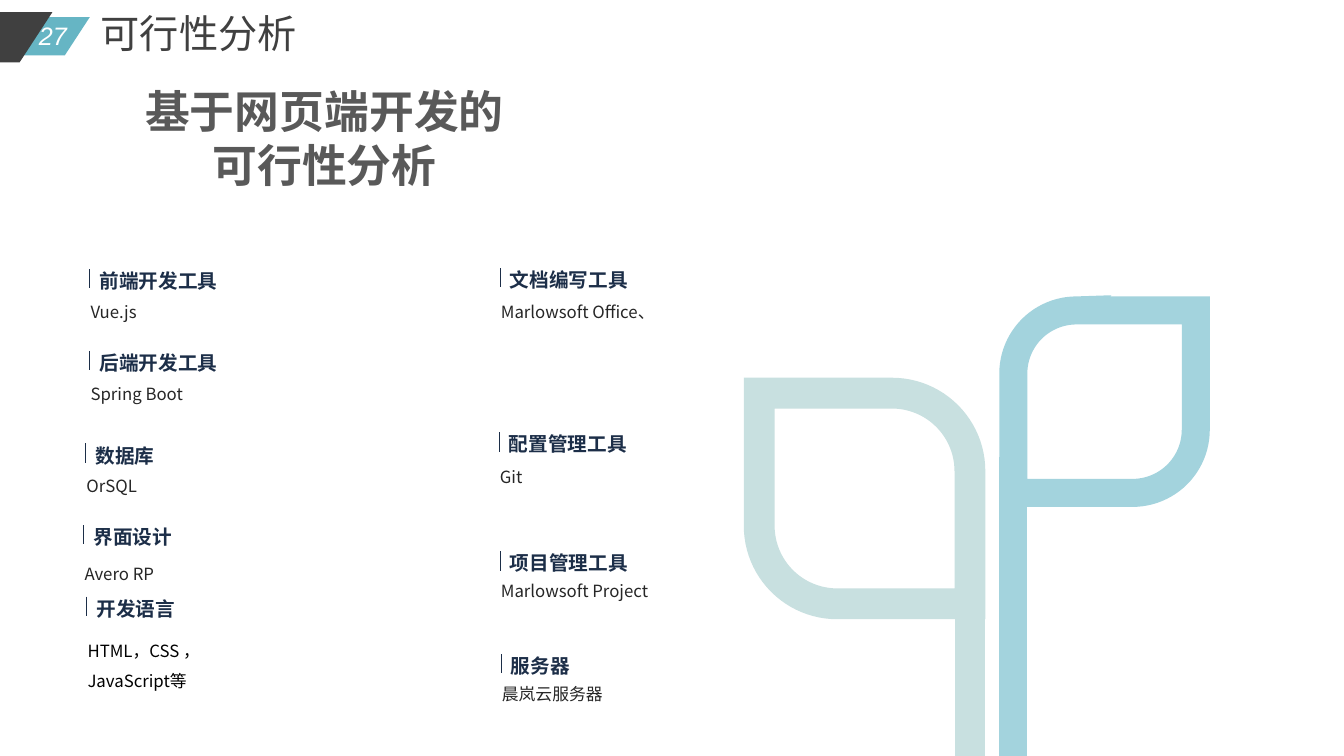
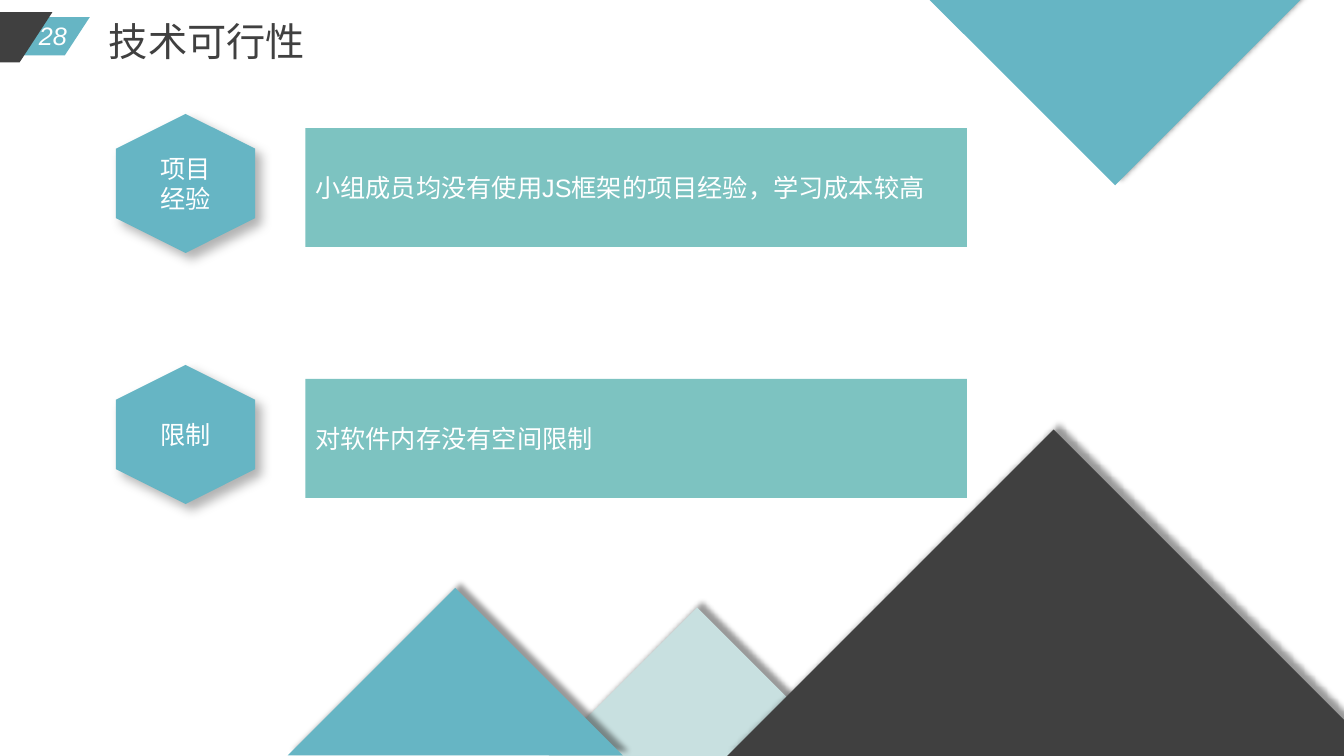
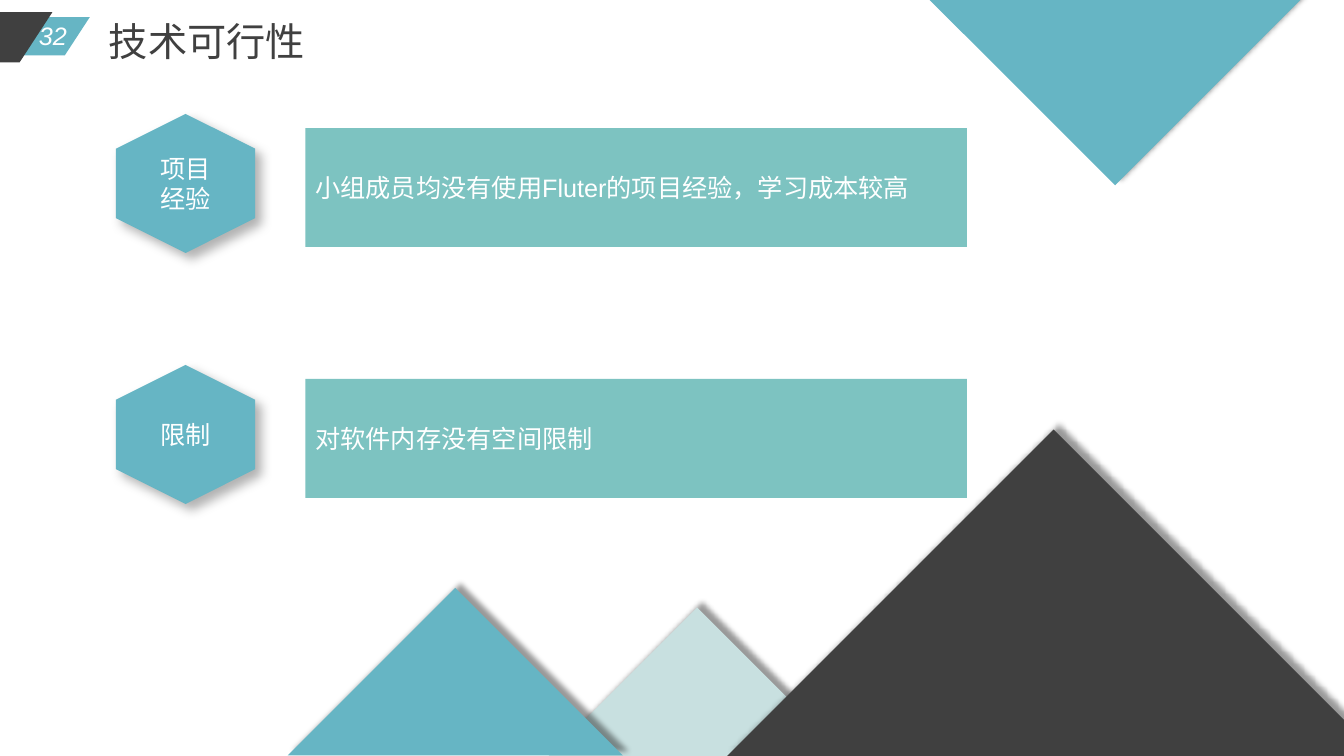
from lxml.etree import SubElement
from pptx import Presentation
from pptx.dml.color import RGBColor
from pptx.enum.shapes import MSO_CONNECTOR, MSO_SHAPE as Preset
from pptx.enum.text import MSO_ANCHOR as Anchor, MSO_AUTO_SIZE, PP_ALIGN as Align
from pptx.oxml.ns import qn
from pptx.util import Inches, Pt

COLORS = {
    "blue": "66B5C4", "teal": "7DC3C1", "dark": "404040", "white": "FFFFFF",
    "leaf_blue": "A3D3DD", "pale": "C8E0E0", "navy": "1C2E48",
    "body": "262626", "black": "000000", "headline": "595959",
}
CJK_FONT = "Noto Sans CJK SC"

HEADLINE = ["基于网页端开发的", "可行性分析"]
# left, top, heading, tool, gap from heading to tool, tool box height, tool color
TOOLS = [
    (0.89, 2.62, "前端开发工具", "Vue.js", 0.22, 0.38, "body"),
    (0.89, 3.43, "后端开发工具", "Spring Boot", 0.23, 0.38, "body"),
    (0.85, 4.35, "数据库", "OrSQL", 0.22, 0.38, "body"),
    (0.83, 5.16, "界面设计", "Avero RP", 0.28, 0.3, "body"),
    (0.86, 5.87, "开发语言", "HTML，CSS ，JavaScript等", 0.34, 1.03, "black"),
    (4.96, 2.61, "文档编写工具", "Marlowsoft Office、", 0.23, 0.38, "body"),
    (4.95, 4.24, "配置管理工具", "Git", 0.24, 0.38, "body"),
    (4.96, 5.42, "项目管理工具", "Marlowsoft Project", 0.19, 0.38, "body"),
    (4.97, 6.44, "服务器", "晨岚云服务器", 0.19, 0.38, "body"),
]
# left, top, size, corner adjustments, stem x, stem top, color, line width
LEAVES = [
    (10.05, 3.08, 1.81, (0.346, 0), 10.05, 4.53, "leaf_blue", 20),
    (7.53, 3.9, 2.09, (0, 0.37), 9.62, 4.95, "pale", 22),
]
LIMIT = ("限制", "对软件内存没有空间限制")
TECHNICAL = [
    ("28", [("项目经验", "小组成员均没有使用JS框架的项目经验，学习成本较高"), LIMIT]),
    ("32", [("项目经验", "小组成员均没有使用Fluter的项目经验，学习成本较高"), LIMIT]),
]
ROW_TOP, ROW_STEP = 1.13, 2.49
# left, top, size, rotation, color
MOUNTAINS = [
    (5.87, 6.46, 2.09, 135, "pale"),
    (3.34, 6.32, 2.35, 135, "blue"),
    (8.16, 5.21, 4.58, 135, "dark"),
    (9.76, -1.3, 2.6, 315, "blue"),
]


def rgb(name):
    return RGBColor.from_string(COLORS[name])


def write(shape, lines, size, color, font="Arial", bold=False, italic=False,
          align=Align.LEFT, anchor=Anchor.TOP, wrap=True, spacing=None, cjk=None):
    frame = shape.text_frame
    frame.auto_size = MSO_AUTO_SIZE.NONE
    frame.word_wrap = wrap
    frame.vertical_anchor = anchor
    for index, line in enumerate(lines):
        para = frame.add_paragraph() if index else frame.paragraphs[0]
        para.alignment = align
        if spacing:
            para.line_spacing = spacing
        span = para.add_run()
        span.text = line
        span.font.size = Pt(size)
        span.font.name = font
        span.font.bold = bold
        span.font.italic = italic
        span.font.color.rgb = rgb(color)
        if cjk:
            SubElement(span._r.get_or_add_rPr(), qn("a:ea"), typeface=cjk)


def add_text(page, left, top, width, height, lines, size, color, **style):
    box = page.shapes.add_textbox(*map(Inches, (left, top, width, height)))
    write(box, lines, size, color, **style)


def add_block(page, preset, left, top, width, height, color):
    block = page.shapes.add_shape(preset, *map(Inches, (left, top, width, height)))
    block.shadow.inherit = False
    block.fill.solid()
    block.fill.fore_color.rgb = rgb(color)
    block.line.fill.background()
    return block


def cast_shadow(shape, alpha, blur, distance, angle):
    """Give the shape a black outer shadow that ignores its rotation."""
    effects = shape._element.spPr.find(qn("a:effectLst"))
    shadow = SubElement(effects, qn("a:outerShdw"), blurRad=str(Pt(blur)),
                        dist=str(Pt(distance)), dir=str(angle * 60000),
                        algn="ctr", rotWithShape="0")
    tone = SubElement(shadow, qn("a:srgbClr"), val=COLORS["black"])
    SubElement(tone, qn("a:alpha"), val=str(alpha * 1000))


def add_rule(page, x, top, bottom, color, width):
    rule = page.shapes.add_connector(
        MSO_CONNECTOR.STRAIGHT, *map(Inches, (x, top, x, bottom)))
    rule.line.color.rgb = rgb(color)
    rule.line.width = Pt(width)
    SubElement(rule._element.spPr, qn("a:effectLst"))


def add_page(deck, number, title, left, top):
    """Add a slide with the corner band, its page number and the title."""
    page = deck.slides.add_slide(deck.slide_layouts[5])
    for x, y, width, height, color in [(-1.1, 0.17, 1.99, 0.38, "blue"),
                                       (-2.08, 0.12, 2.6, 0.5, "dark")]:
        band = add_block(page, Preset.PARALLELOGRAM, x, y, width, height, color)
        band.adjustments[0] = 0.652
    add_text(page, 0.27, 0.15, 0.51, 0.4, [number], 18, "white",
             italic=True, align=Align.CENTER, wrap=False)
    heading = page.shapes.title
    heading.left, heading.top = Inches(left), Inches(top)
    heading.width, heading.height = Inches(2.24), Inches(0.57)
    write(heading, [title], 28, "dark", font=CJK_FONT, wrap=False)
    return page


def add_leaf(page, left, top, size, corners, stem_x, stem_top, color, width):
    leaf = add_block(page, Preset.ROUND_2_DIAG_RECTANGLE, left, top, size, size, color)
    leaf.adjustments[0], leaf.adjustments[1] = corners
    leaf.fill.background()
    leaf.line.color.rgb = rgb(color)
    leaf.line.width = Pt(width)
    SubElement(leaf.line._get_or_add_ln(), qn("a:miter"), lim="800000")
    add_rule(page, stem_x, stem_top, 7.5, color, width)


def build_tools(deck):
    page = add_page(deck, "27", "可行性分析", 0.9, 0.04)
    for leaf in LEAVES:
        add_leaf(page, *leaf)
    for left, top, heading, tool, gap, height, color in TOOLS:
        add_text(page, left - 0.09, top + gap, 2, height, [tool], 12, color,
                 font=CJK_FONT, cjk=CJK_FONT, spacing=1.5)
        add_text(page, left, top, 1.43, 0.34, [heading], 14, "navy",
                 font="Calibri", bold=True)
        add_rule(page, left, top + 0.05, top + 0.24, "navy", 0.75)
    add_text(page, -0.63, 0.78, 7.7, 1.18, HEADLINE, 32, "headline",
             bold=True, align=Align.CENTER)


def build_technical(deck, number, rows):
    page = add_page(deck, number, "技术可行性", 0.98, 0.12)
    for index, (label, detail) in enumerate(rows):
        top = ROW_TOP + index * ROW_STEP
        badge = add_block(page, Preset.HEXAGON, 1.15, top, 1.38, 1.38, "blue")
        badge.rotation = 90
        cast_shadow(badge, 30, 8, 6, 45)
        write(badge, [label], 18, "white", align=Align.CENTER, anchor=Anchor.MIDDLE)
        badge.text_frame._txBody.bodyPr.set("vert", "vert270")
        bar = add_block(page, Preset.RECTANGLE, 3.03, top + 0.14, 6.56, 1.18, "teal")
        write(bar, [detail], 18, "white", anchor=Anchor.MIDDLE)
    for left, top, size, rotation, color in MOUNTAINS:
        mountain = add_block(page, Preset.RIGHT_TRIANGLE, left, top, size, size, color)
        mountain.rotation = rotation
        cast_shadow(mountain, 40, 4, 5, 315)


def main():
    deck = Presentation()
    deck.slide_width, deck.slide_height = Inches(13.33), Inches(7.5)
    build_tools(deck)
    for number, rows in TECHNICAL:
        build_technical(deck, number, rows)
    deck.save("out.pptx")


if __name__ == "__main__":
    main()
